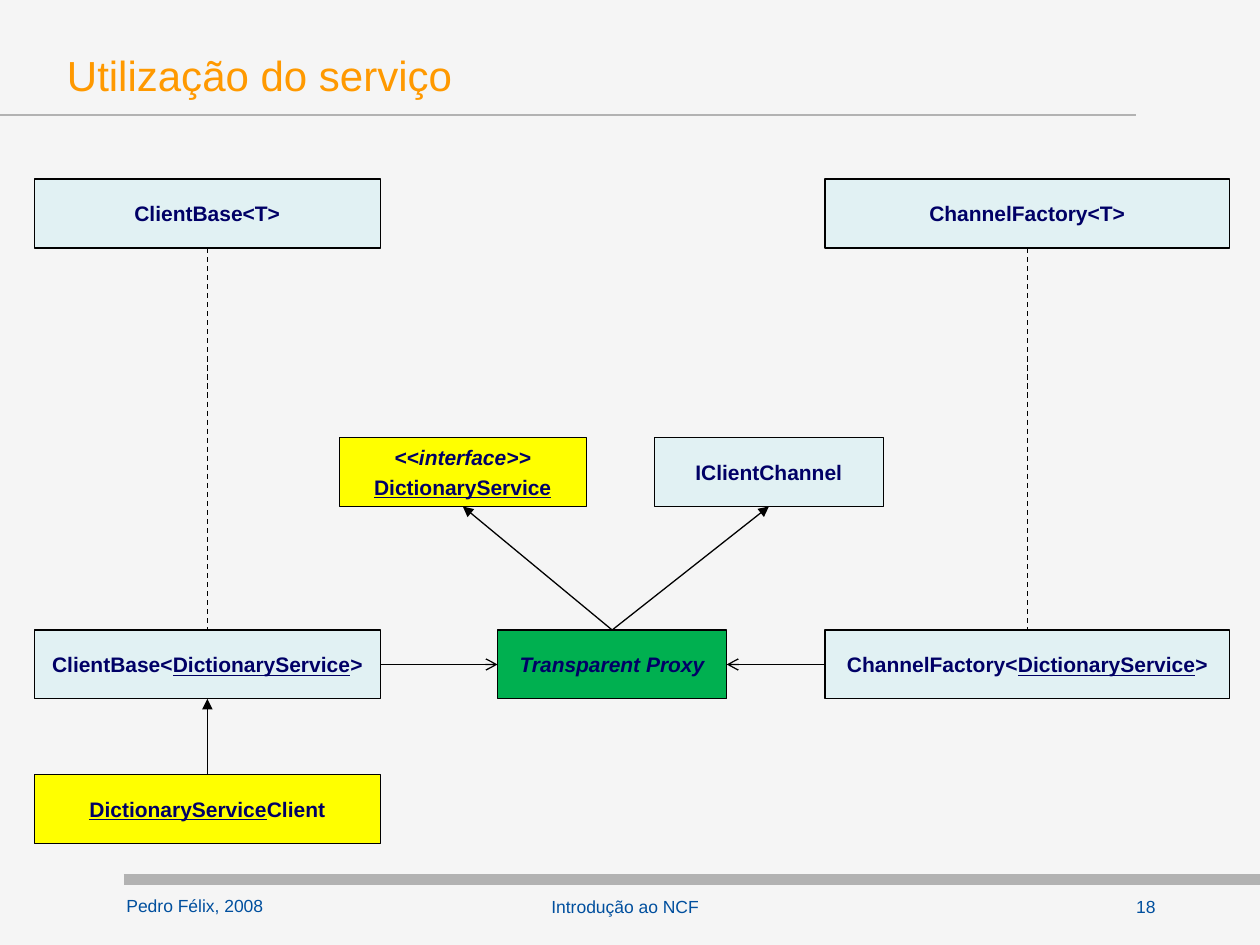
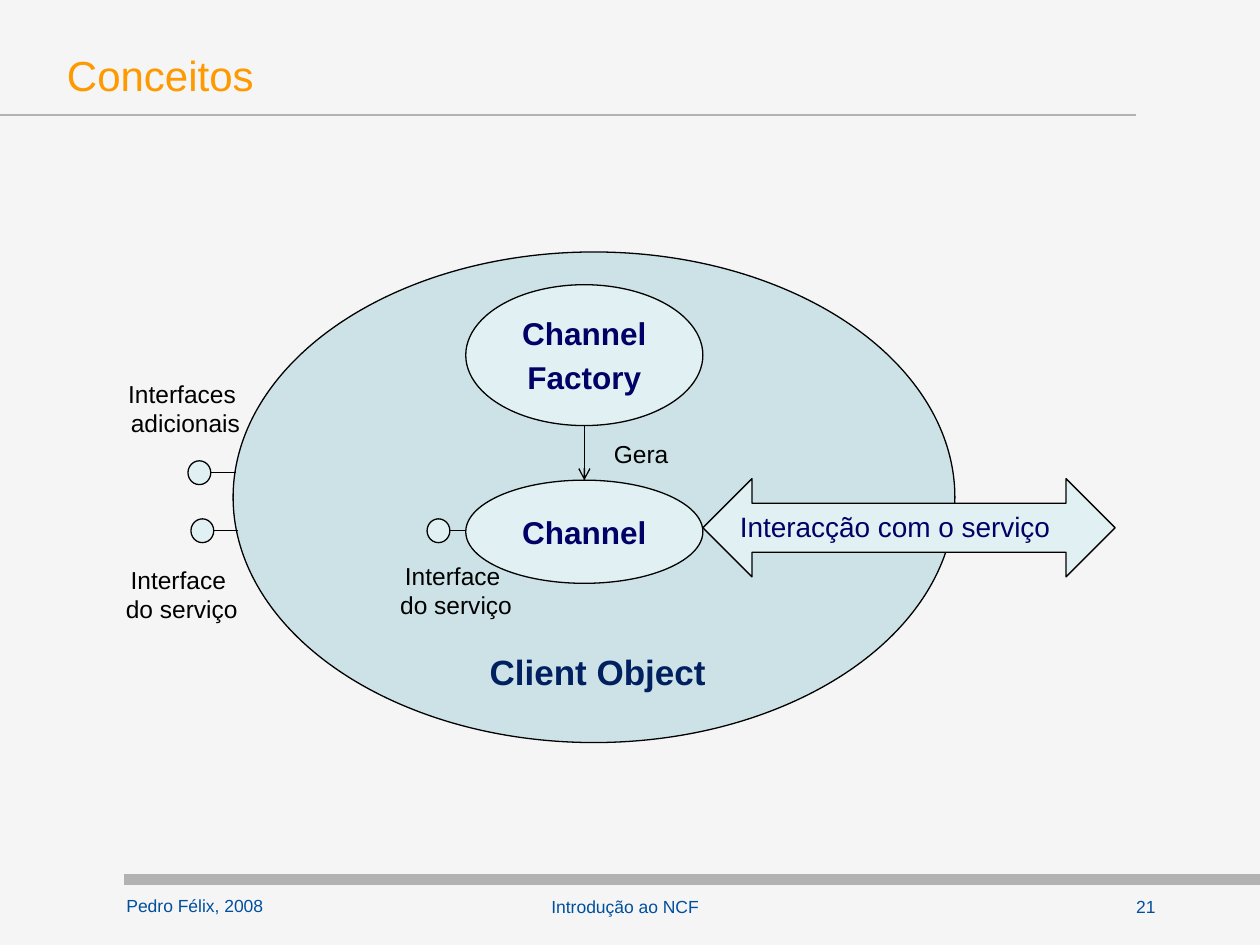
from dataclasses import dataclass
from typing import Any, NamedTuple, Optional

from lxml import etree
from pptx import Presentation
from pptx.dml import color
from pptx.enum import dml, shapes, text
from pptx.oxml import ns
from pptx.util import Cm, Pt

RGB = color.RGBColor.from_string


@dataclass(frozen=True)
class Theme:
    font: str = "Arial"
    background: str = "F5F5F5"
    title: str = "FF9900"
    footer: str = "004F9E"
    band: str = "B2B2B2"
    outline: str = "000000"
    ink: str = "000066"
    note: str = "000000"
    client_ink: str = "002060"
    pale: str = "E1F1F3"
    client: str = "CCE2E6"
    generated: str = "FFFF00"
    proxy: str = "00B050"
    title_size: int = 24
    footer_size: int = 10
    class_size: int = 12
    note_size: int = 14
    arrow_size: int = 16
    concept_size: int = 18
    client_size: int = 20
    line_width: float = 0.75
    rule_width: float = 1.5
    band_width: float = 6


THEME = Theme()


class Point(NamedTuple):
    x: float
    y: float


class Box(NamedTuple):
    """A rectangle in centimetres."""
    left: float
    top: float
    width: float
    height: float

    def at(self, across: float, down: float) -> Point:
        """Return the point at the given fractions of width and height."""
        return Point(self.left + across * self.width, self.top + down * self.height)


TOP, BOTTOM, LEFT, RIGHT = (0.5, 0), (0.5, 1), (0, 0.5), (1, 0.5)


class Run(NamedTuple):
    text: str
    format: dict[str, Any] = {}


Lines = list[list[Run]]


@dataclass(frozen=True)
class Style:
    size: int
    color: str
    bold: bool = False
    align: Any = text.PP_ALIGN.CENTER
    anchor: Any = text.MSO_ANCHOR.TOP
    wrap: bool = True
    spaced: bool = False


MIDDLE = text.MSO_ANCHOR.MIDDLE
TITLE = Style(THEME.title_size, THEME.title, align=text.PP_ALIGN.LEFT, anchor=MIDDLE)
FOOTER = Style(THEME.footer_size, THEME.footer)
AUTHOR = Style(THEME.footer_size, THEME.footer, align=text.PP_ALIGN.LEFT)
CLASS = Style(THEME.class_size, THEME.ink, bold=True, anchor=MIDDLE, spaced=True)
CONCEPT = Style(THEME.concept_size, THEME.ink, bold=True, anchor=MIDDLE, spaced=True)
ARROW = Style(THEME.arrow_size, THEME.ink, align=text.PP_ALIGN.LEFT, spaced=True)
NOTE = Style(THEME.note_size, THEME.note, wrap=False)
CLIENT = Style(THEME.client_size, THEME.client_ink, bold=True, wrap=False)


def plain(*lines: str) -> Lines:
    return [[Run(line)] for line in lines]


def write(shape: Any, lines: Lines, style: Style) -> None:
    frame = shape.text_frame
    frame.word_wrap = style.wrap
    frame.vertical_anchor = style.anchor
    for index, line in enumerate(lines):
        paragraph = frame.add_paragraph() if index else frame.paragraphs[0]
        paragraph.alignment = style.align
        if style.spaced:
            properties = paragraph._p.get_or_add_pPr()
            before = etree.SubElement(properties, ns.qn("a:spcBef"))
            etree.SubElement(before, ns.qn("a:spcPct"), val="20000")
        for part in line:
            run = paragraph.add_run()
            run.text = part.text
            values = {"name": THEME.font, "size": Pt(style.size), "bold": style.bold}
            for name, value in (values | part.format).items():
                setattr(run.font, name, value)
            run.font.color.rgb = RGB(style.color)


def add_label(slide: Any, box: Box, lines: Lines, style: Style) -> None:
    write(slide.shapes.add_textbox(*map(Cm, box)), lines, style)


def add_figure(slide: Any, kind: Any, box: Box, fill: str,
               lines: Optional[Lines] = None, style: Style = CONCEPT) -> None:
    shape = slide.shapes.add_shape(kind, *map(Cm, box))
    shape.shadow.inherit = False
    shape.fill.solid()
    shape.fill.fore_color.rgb = RGB(fill)
    shape.line.color.rgb = RGB(THEME.outline)
    shape.line.width = Pt(THEME.line_width)
    if lines:
        write(shape, lines, style)


def add_line(slide: Any, start: Point, end: Point, head: str = "", dashed: bool = False,
             ink: str = THEME.outline, width: float = THEME.line_width) -> None:
    connector = slide.shapes.add_connector(
        shapes.MSO_CONNECTOR.STRAIGHT, *map(Cm, (*start, *end)))
    line = connector.line
    line.color.rgb = RGB(ink)
    line.width = Pt(width)
    if dashed:
        line.dash_style = dml.MSO_LINE.DASH
    if head:
        etree.SubElement(line._get_or_add_ln(), ns.qn("a:tailEnd"), type=head)
    etree.SubElement(connector._element.spPr, ns.qn("a:effectLst"))


def add_slide(presentation: Any, title: str, number: int) -> Any:
    """Add a slide with the shared title, rules and footer."""
    slide = presentation.slides.add_slide(presentation.slide_layouts[6])
    add_line(slide, Point(2.49, 17.73), Point(25.4, 17.73),
             ink=THEME.band, width=THEME.band_width)
    add_line(slide, Point(0, 2.32), Point(22.91, 2.32),
             ink=THEME.band, width=THEME.rule_width)
    for box, words, style in (
        (Box(1.1, 0.73, 22.81, 1.55), title, TITLE),
        (Box(2.3, 17.92, 3.33, 0.81), "Pedro Félix, 2008", AUTHOR),
        (Box(6.3, 17.94, 12.6, 0.74), "Introdução ao NCF", FOOTER),
        (Box(22.1, 17.94, 2, 0.81), str(number), FOOTER),
    ):
        add_label(slide, box, plain(words), style)
    return slide


def draw_service_use(presentation: Any) -> None:
    slide = add_slide(presentation, "Utilização do serviço", 18)
    height = 1.39
    generic_row, contract_row, closed_row, derived_row = 3.61, 8.82, 12.7, 15.62
    base_column, factory_column = (0.69, 6.98), (16.63, 8.16)

    def cell(column: tuple[float, float], row: float) -> Box:
        return Box(column[0], row, column[1], height)

    generic_base = cell(base_column, generic_row)
    closed_base = cell(base_column, closed_row)
    derived_client = cell(base_column, derived_row)
    generic_factory = cell(factory_column, generic_row)
    closed_factory = cell(factory_column, closed_row)
    contract = cell((6.84, 4.98), contract_row)
    channel = cell((13.19, 4.62), contract_row)
    proxy = cell((10.03, 4.62), closed_row)

    service = Run("DictionaryService", {"underline": True})
    italic = {"italic": True}
    for box, fill, lines in (
        (contract, THEME.generated, [[Run("<<interface>>", italic)], [service]]),
        (channel, THEME.pale, plain("IClientChannel")),
        (closed_factory, THEME.pale, [[Run("ChannelFactory<"), service, Run(">")]]),
        (proxy, THEME.proxy, [[Run("Transparent Proxy", italic)]]),
        (closed_base, THEME.pale, [[Run("ClientBase<"), service, Run(">")]]),
        (derived_client, THEME.generated, [[service, Run("Client")]]),
        (generic_factory, THEME.pale, plain("ChannelFactory<T>")),
        (generic_base, THEME.pale, plain("ClientBase<T>")),
    ):
        add_figure(slide, shapes.MSO_SHAPE.RECTANGLE, box, fill, lines, CLASS)

    for start, end, head in (
        (closed_factory.at(*LEFT), proxy.at(*RIGHT), "arrow"),
        (closed_base.at(*RIGHT), proxy.at(*LEFT), "arrow"),
        (proxy.at(*TOP), channel.at(*BOTTOM), "triangle"),
        (proxy.at(*TOP), contract.at(*BOTTOM), "triangle"),
        (derived_client.at(*TOP), closed_base.at(*BOTTOM), "triangle"),
    ):
        add_line(slide, start, end, head)
    for generic, closed in ((generic_base, closed_base), (generic_factory, closed_factory)):
        add_line(slide, generic.at(*BOTTOM), closed.at(*TOP), dashed=True)


def draw_concepts(presentation: Any) -> None:
    slide = add_slide(presentation, "Conceitos", 21)
    ellipse = shapes.MSO_SHAPE.OVAL
    channel = Box(9.39, 9.68, 4.78, 2.08)
    factory = Box(9.39, 5.74, 4.78, 2.84)
    add_figure(slide, ellipse, Box(4.7, 5.08, 14.55, 9.89), THEME.client)
    add_figure(slide, ellipse, channel, THEME.pale, plain("Channel"))
    add_figure(slide, ellipse, factory, THEME.pale, plain("Channel", "Factory"))
    add_line(slide, factory.at(*BOTTOM), channel.at(*TOP), "arrow")

    for left, top, owner_edge in ((8.61, 10.46, 9.39), (3.85, 10.46, 4.8), (3.79, 9.29, 4.75)):
        socket = Box(left, top, 0.46, 0.48)
        joint = socket.at(*RIGHT)
        add_line(slide, Point(owner_edge, joint.y), joint)
        add_figure(slide, ellipse, socket, THEME.pale)

    service_interface = plain("Interface ", "do serviço")
    for box, lines, style in (
        (Box(2.28, 11.26, 2.77, 1.45), service_interface, NOTE),
        (Box(7.81, 11.18, 2.77, 1.45), service_interface, NOTE),
        (Box(2.32, 7.51, 2.84, 1.45), plain("Interfaces ", "adicionais"), NOTE),
        (Box(12.11, 8.72, 1.63, 0.86), plain("Gera"), NOTE),
        (Box(9.6, 12.99, 4.9, 1.12), plain("Client Object"), CLIENT),
    ):
        add_label(slide, box, lines, style)
    add_figure(slide, shapes.MSO_SHAPE.LEFT_RIGHT_ARROW, Box(14.17, 9.65, 8.31, 1.98),
               THEME.pale, plain("Interacção com o serviço"), ARROW)


def main() -> None:
    presentation = Presentation()
    presentation.slide_width, presentation.slide_height = Cm(25.4), Cm(19.05)
    backdrop = presentation.slide_master.background.fill
    backdrop.solid()
    backdrop.fore_color.rgb = RGB(THEME.background)
    draw_service_use(presentation)
    draw_concepts(presentation)
    presentation.save("out.pptx")


if __name__ == "__main__":
    main()
